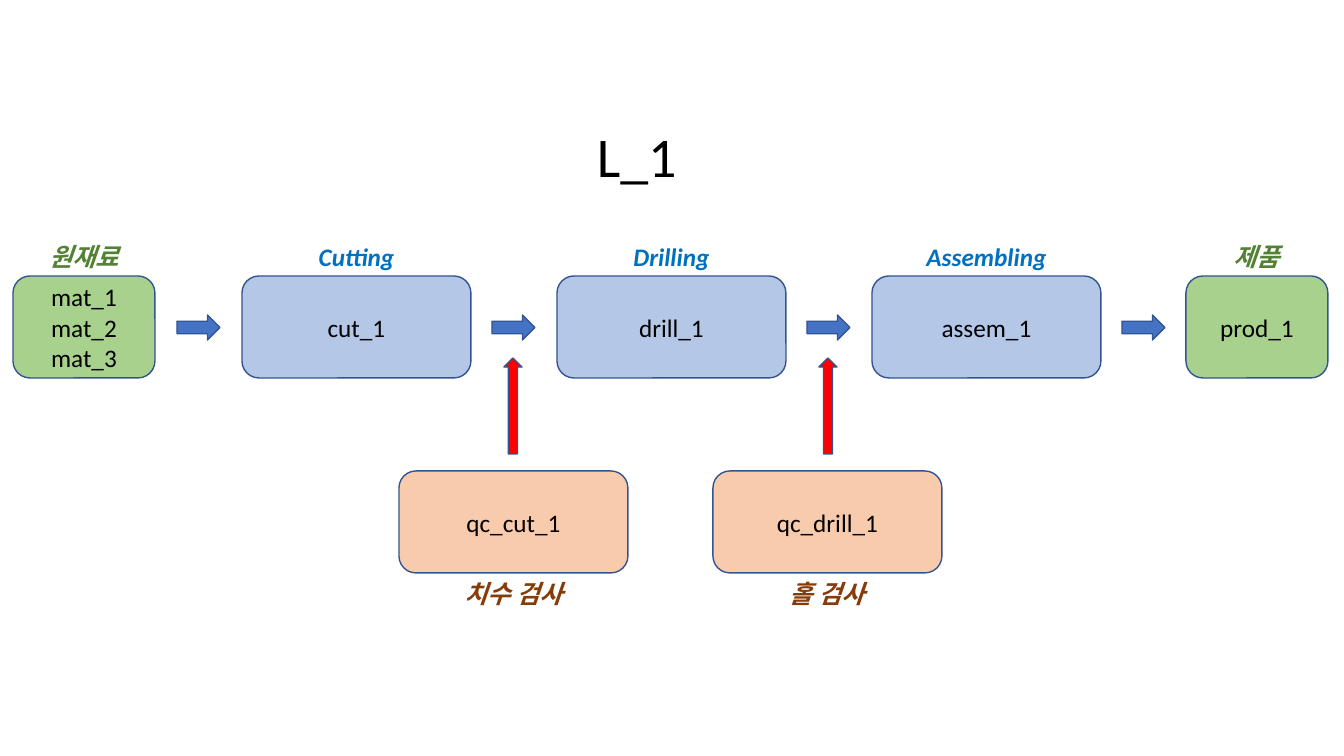
import dataclasses
import typing

import pptx
import pptx.dml.color
import pptx.enum.shapes
import pptx.enum.text
import pptx.util

Shape = pptx.enum.shapes.MSO_SHAPE
Align = pptx.enum.text.PP_ALIGN
Anchor = pptx.enum.text.MSO_ANCHOR


@dataclasses.dataclass(frozen=True)
class Theme:
    """Colours, font and type sizes of the slide."""
    font: str = "Calibri"
    body: int = 18
    title: int = 40
    outline_width: int = 1
    text: str = "000000"
    outline: str = "325491"
    flow: str = "4472C4"
    check: str = "FF0000"
    goods: str = "A9D18E"
    goods_label: str = "548235"
    process: str = "B4C7E7"
    process_label: str = "0070C0"
    quality: str = "F8CBAD"
    quality_label: str = "843C0B"


class Area(typing.NamedTuple):
    """A rectangle in pixels."""
    left: int
    top: int
    width: int
    height: int

    def emu(self) -> list[pptx.util.Emu]:
        """Return the rectangle in EMU."""
        return [px(value) for value in self]


@dataclasses.dataclass(frozen=True)
class Station:
    """A labelled box of the production line."""
    area: Area
    items: tuple[str, ...]
    label: str
    label_top: int
    fill: str
    label_color: str


THEME = Theme()
PITCH = 315
LINE_TOP, CHECK_TOP, BOX_HEIGHT = 276, 471, 102
GOODS_WIDTH, STEP_WIDTH, LABEL_HEIGHT = 142, 229, 40


def px(value: int) -> pptx.util.Emu:
    """Convert pixels to EMU."""
    return pptx.util.Emu(round(value * 914400 / 100.8))


def rgb(color: str) -> pptx.dml.color.RGBColor:
    """Convert a hex string to a colour."""
    return pptx.dml.color.RGBColor.from_string(color)


def goods(left: int, items: tuple[str, ...], label: str) -> Station:
    """Describe materials or products at an end of the line."""
    return Station(Area(left, LINE_TOP, GOODS_WIDTH, BOX_HEIGHT), items, label,
                   LINE_TOP - LABEL_HEIGHT, THEME.goods, THEME.goods_label)


def process(index: int, item: str, label: str) -> Station:
    """Describe a process step on the line."""
    return Station(Area(242 + index * PITCH, LINE_TOP, STEP_WIDTH, BOX_HEIGHT), (item,), label,
                   LINE_TOP - LABEL_HEIGHT, THEME.process, THEME.process_label)


def quality(index: int, item: str, label: str) -> Station:
    """Describe a quality check below the line."""
    return Station(Area(399 + index * (PITCH - 1), CHECK_TOP, STEP_WIDTH, BOX_HEIGHT), (item,), label,
                   CHECK_TOP + BOX_HEIGHT, THEME.quality, THEME.quality_label)


def write(frame, lines: tuple[str, ...], size: int, color: str, align: Align, emphasis: bool = False) -> None:
    """Fill a text frame with one paragraph per line."""
    frame.word_wrap = True
    frame.text = "\n".join(lines)
    for paragraph in frame.paragraphs:
        paragraph.alignment = align
        font = paragraph.font
        font.name, font.size, font.color.rgb = THEME.font, pptx.util.Pt(size), rgb(color)
        font.bold = font.italic = emphasis


def draw_shape(slide, kind: Shape, area: Area, fill: str):
    """Draw an outlined preset shape."""
    shape = slide.shapes.add_shape(kind, *area.emu())
    shape.shadow.inherit = False
    shape.fill.solid()
    shape.fill.fore_color.rgb = rgb(fill)
    shape.line.color.rgb = rgb(THEME.outline)
    shape.line.width = pptx.util.Pt(THEME.outline_width)
    return shape


def draw_text(slide, area: Area, text: str, size: int, color: str, align: Align, emphasis: bool = False) -> None:
    """Draw a text box that grows with its text."""
    frame = slide.shapes.add_textbox(*area.emu()).text_frame
    write(frame, (text,), size, color, align, emphasis)
    frame.auto_size = pptx.enum.text.MSO_AUTO_SIZE.SHAPE_TO_FIT_TEXT


def draw_station(slide, station: Station) -> None:
    """Draw a station box and its label."""
    frame = draw_shape(slide, Shape.ROUNDED_RECTANGLE, station.area, station.fill).text_frame
    frame.vertical_anchor = Anchor.MIDDLE
    write(frame, station.items, THEME.body, THEME.text, Align.CENTER)
    label_area = station.area._replace(top=station.label_top, height=LABEL_HEIGHT)
    draw_text(slide, label_area, station.label, THEME.body, station.label_color, Align.CENTER, True)


def main() -> None:
    """Build and save the production line slide."""
    deck = pptx.Presentation()
    deck.slide_width, deck.slide_height = px(1344), px(756)
    slide = deck.slides.add_slide(deck.slide_layouts[6])
    draw_text(slide, Area(587, 117, 176, 78), "L_1", THEME.title, THEME.text, Align.LEFT)
    stations = (
        goods(13, ("mat_1", "mat_2", "mat_3"), "원재료"),
        process(0, "cut_1", "Cutting"),
        process(1, "drill_1", "Drilling"),
        process(2, "assem_1", "Assembling"),
        goods(1186, ("prod_1",), "제품"),
        quality(0, "qc_cut_1", "치수 검사"),
        quality(1, "qc_drill_1", "홀 검사"),
    )
    for station in stations:
        draw_station(slide, station)
    for index in range(4):
        draw_shape(slide, Shape.RIGHT_ARROW, Area(177 + index * PITCH, 315, 43, 25), THEME.flow)
    for index in range(2):
        draw_shape(slide, Shape.UP_ARROW, Area(504 + index * PITCH, 358, 18, 96), THEME.check)
    deck.save("out.pptx")


main()
